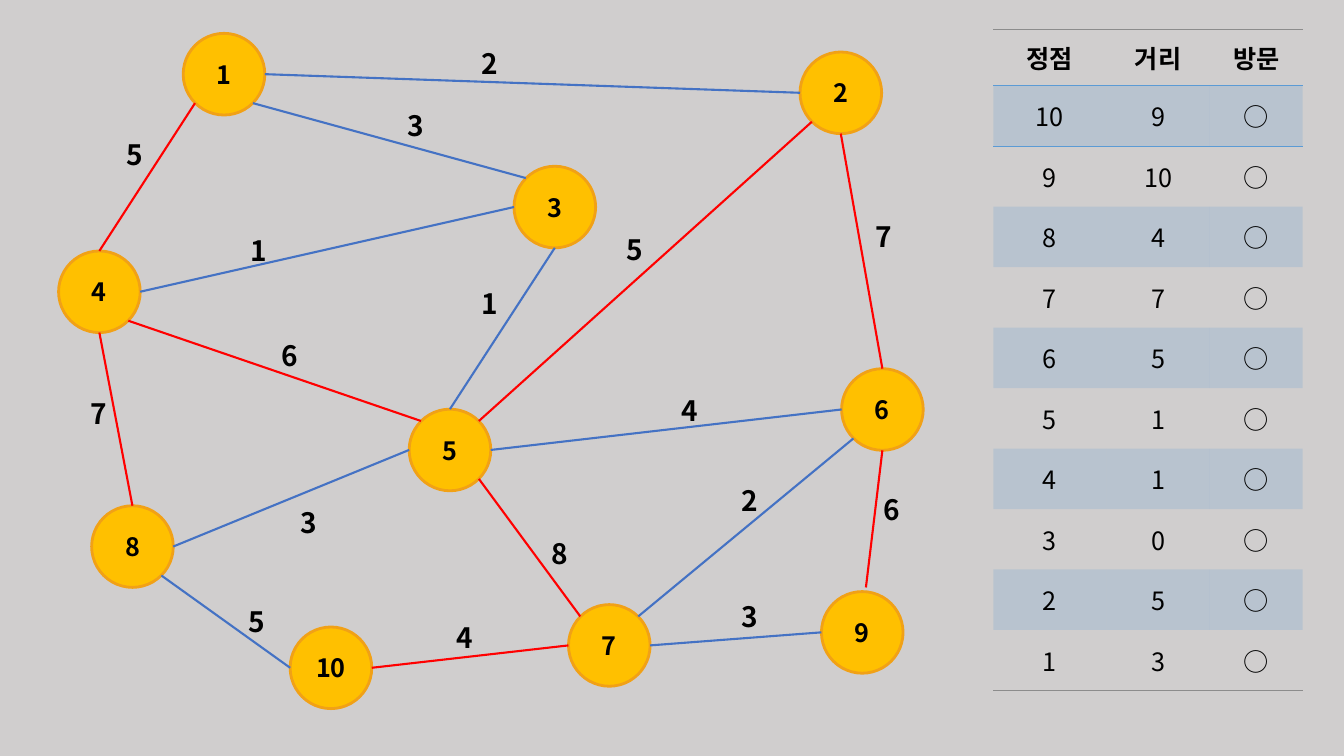
import pptx
import pptx.dml.color
import pptx.enum.shapes
import pptx.enum.text
import pptx.oxml
import pptx.oxml.ns
import pptx.util
from lxml import etree

Pt = pptx.util.Pt
qn = pptx.oxml.ns.qn

FONT = "Noto Sans CJK KR"
BLACK = "000000"
TREE = "4472C4"
OTHER = "FF0000"
RULE = "8C8C8C"
ACCENT = "5B9BD5"
DIAMETER = 58.3
NO_GRID_STYLE = "{2D5ABB26-0587-4C30-8999-92F81FD0307C}"

# Vertex centres, relative to the graph box
VERTICES = {
    1: (118, 29), 2: (558.6, 42.3), 3: (354.3, 123.9), 4: (29, 184.4),
    5: (279.4, 297.4), 6: (588.3, 268.5), 7: (393.2, 437),
    8: (52.6, 366.4), 9: (573.9, 427.7), 10: (194.4, 453),
}

# Places where an edge meets a vertex, in radii from its centre
SITES = {
    "top": (0, -1), "bottom": (0, 1), "left": (-1, 0), "right": (1, 0),
    "top left": (-0.71, -0.71), "top right": (0.71, -0.71),
    "bottom left": (-0.71, 0.71), "bottom right": (0.71, 0.71),
    "above": (0.09, -1.1),
}

# Start vertex and site, end vertex and site, colour, weight, label corner
EDGES = [
    (4, "top", 1, "bottom left", OTHER, 5, (41.5, 71)),
    (3, "top left", 1, "bottom right", TREE, 3, (241.7, 50.2)),
    (2, "left", 1, "right", TREE, 2, (295, 5.5)),
    (2, "bottom", 6, "top", OTHER, 7, (576.5, 129.4)),
    (2, "bottom left", 5, "top right", OTHER, 5, (398.6, 138.7)),
    (3, "bottom", 5, "top", TREE, 1, (295, 176.9)),
    (3, "left", 4, "right", TREE, 1, (130, 139.4)),
    (4, "bottom", 8, "top", OTHER, 7, (15.6, 255.4)),
    (5, "left", 8, "right", TREE, 3, (165.4, 333.8)),
    (5, "top left", 4, "bottom right", OTHER, 6, (151.7, 214.3)),
    (5, "bottom right", 7, "top left", OTHER, 8, (344.6, 355.4)),
    (6, "left", 5, "right", TREE, 4, (437.5, 253.2)),
    (9, "above", 6, "bottom", OTHER, 6, (582.2, 324.5)),
    (6, "bottom left", 7, "top right", TREE, 2, (480.7, 318)),
    (10, "right", 7, "left", OTHER, 4, (277, 415.9)),
    (10, "left", 8, "bottom right", TREE, 5, (128.6, 404.4)),
    (9, "left", 7, "right", TREE, 3, (480.7, 400.8)),
]

HEADINGS = ["정점", "거리", "방문"]
DISTANCES = {10: 9, 9: 10, 8: 4, 7: 7, 6: 5, 5: 1, 4: 1, 3: 0, 2: 5, 1: 3}


def color(hex_string):
    return pptx.dml.color.RGBColor.from_string(hex_string)


def write(frame, text, size, bold, align):
    para = frame.paragraphs[0]
    para.add_run().text = str(text)
    para.alignment = align
    para.font.name = FONT
    para.font.size = Pt(size)
    para.font.bold = bold
    para.font.color.rgb = color(BLACK)
    # Same typeface for Korean text
    defaults = para._p.pPr.find(qn("a:defRPr"))
    etree.SubElement(defaults, qn("a:ea"), typeface=FONT)


def add_vertex(page, number, x, y):
    circle = page.shapes.add_shape(
        pptx.enum.shapes.MSO_SHAPE.OVAL, Pt(x - DIAMETER / 2),
        Pt(y - DIAMETER / 2), Pt(DIAMETER), Pt(DIAMETER))
    circle.shadow.inherit = False
    circle.fill.solid()
    circle.fill.fore_color.rgb = color("FFC000")
    circle.line.color.rgb = color("F1A116")
    circle.line.width = Pt(2)
    circle.text_frame.vertical_anchor = pptx.enum.text.MSO_ANCHOR.MIDDLE
    write(circle.text_frame, number, 18, True, pptx.enum.text.PP_ALIGN.CENTER)


def add_edge(page, start, end, line_color):
    edge = page.shapes.add_connector(
        pptx.enum.shapes.MSO_CONNECTOR.STRAIGHT,
        Pt(start[0]), Pt(start[1]), Pt(end[0]), Pt(end[1]))
    edge.line.color.rgb = color(line_color)
    edge.line.width = Pt(1.5)
    etree.SubElement(edge.element.spPr, qn("a:effectLst"))


def add_weight(page, weight, x, y):
    box = page.shapes.add_textbox(Pt(x), Pt(y), Pt(26), Pt(31.5))
    box.text_frame.word_wrap = False
    write(box.text_frame, weight, 20, True, pptx.enum.text.PP_ALIGN.LEFT)


def add_graph(page, left, top):
    def site(number, name):
        x, y = VERTICES[number]
        across, down = SITES[name]
        return (left + x + across * DIAMETER / 2,
                top + y + down * DIAMETER / 2)

    for number, (x, y) in VERTICES.items():
        add_vertex(page, number, left + x, top + y)
    for first, leave, second, arrive, line_color, weight, (x, y) in EDGES:
        add_edge(page, site(first, leave), site(second, arrive), line_color)
        add_weight(page, weight, left + x, top + y)


def add_border(cell, side, line_color, width):
    properties = cell._tc.get_or_add_tcPr()
    border = etree.SubElement(properties, qn("a:" + side), w=str(Pt(width)))
    fill = etree.SubElement(border, qn("a:solidFill"))
    etree.SubElement(fill, qn("a:srgbClr"), val=line_color)


def fill_cell(cell, banded):
    if not banded:
        cell.fill.background()
        return
    cell.fill.solid()
    cell.fill.fore_color.rgb = color(ACCENT)
    tint = next(cell._tc.tcPr.find(qn("a:solidFill")).iter(qn("a:srgbClr")))
    etree.SubElement(tint, qn("a:alpha"), val="20000")


def add_distance_table(page, left, top, width, height):
    rows = [HEADINGS] + [[vertex, distance, "○"]
                         for vertex, distance in DISTANCES.items()]
    last = len(rows) - 1
    frame = page.shapes.add_table(len(rows), len(HEADINGS), Pt(left), Pt(top),
                                  Pt(width), Pt(height))
    next(frame.element.iter(qn("a:tableStyleId"))).text = NO_GRID_STYLE
    table = frame.table
    for column, share in zip(table.columns, (0.365, 0.335, 0.3)):
        column.width = Pt(width * share)
    header_height = 40.3
    for index, values in enumerate(rows):
        table.rows[index].height = Pt(
            (height - header_height) / last if index else header_height)
        for position, value in enumerate(values):
            cell = table.cell(index, position)
            cell.vertical_anchor = pptx.enum.text.MSO_ANCHOR.MIDDLE
            write(cell.text_frame, value, 18, index == 0,
                  pptx.enum.text.PP_ALIGN.CENTER)
            # Rules above and below the header and under the last row
            if index == 0:
                add_border(cell, "lnT", RULE, 0.75)
                add_border(cell, "lnB", ACCENT, 1)
            elif index == 1:
                add_border(cell, "lnT", ACCENT, 1)
            elif index == last:
                add_border(cell, "lnB", RULE, 0.75)
            fill_cell(cell, index % 2 == 1)


def main():
    deck = pptx.Presentation()
    deck.slide_width, deck.slide_height = Pt(960), Pt(540)
    page = deck.slides.add_slide(deck.slide_layouts[6])
    page.background.fill.solid()
    page.background.fill.fore_color.rgb = color("D0CECE")
    add_graph(page, 42, 24)
    add_distance_table(page, 709.6, 20.9, 221, 472.3)
    deck.save("out.pptx")


if __name__ == "__main__":
    main()
